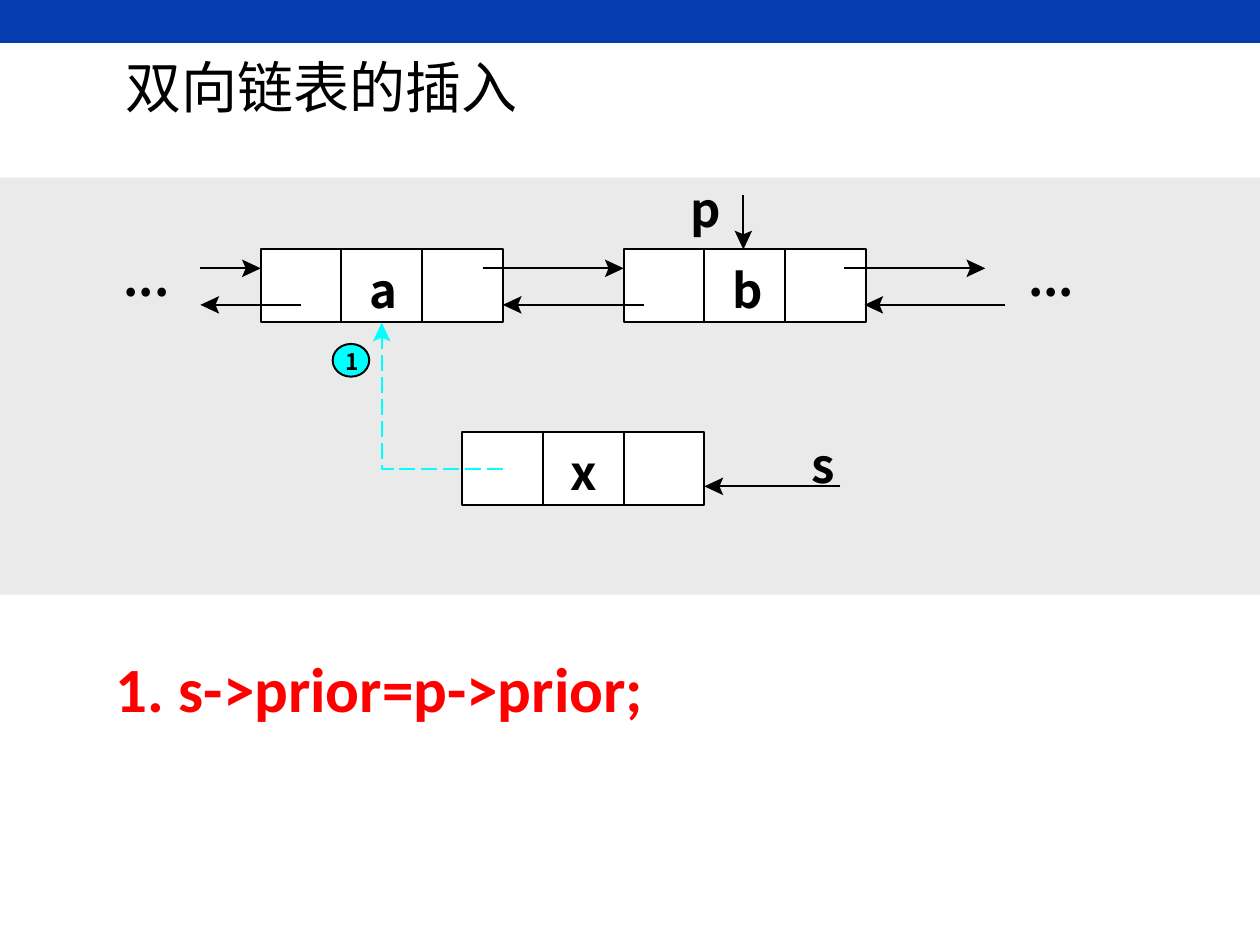
from math import atan2, cos, sin

from lxml import etree
from pptx import Presentation
from pptx.dml.color import RGBColor
from pptx.enum.dml import MSO_LINE
from pptx.enum.shapes import MSO_CONNECTOR, MSO_SHAPE
from pptx.enum.text import MSO_ANCHOR, MSO_AUTO_SIZE
from pptx.oxml.ns import qn
from pptx.util import Inches, Pt

CJK_FONT = "Noto Sans CJK SC"
BLACK, WHITE, CYAN = "000000", "FFFFFF", "00FFFF"
LINE_WIDTH = Pt(1.13)
CELL_W, CELL_H = 0.64, 0.58
LIST_TOP, NEW_TOP = 1.98, 3.43
NEXT_Y, PRIOR_Y = 2.13, 2.42
HEAD_LENGTH, HEAD_HALF, HEAD_NOTCH = 0.15, 0.07, 0.12


def color(hex_string):
    return RGBColor.from_string(hex_string)


def style(shape, fill=None, line=None):
    shape.shadow.inherit = False
    if fill:
        shape.fill.solid()
        shape.fill.fore_color.rgb = color(fill)
    else:
        shape.fill.background()
    if line:
        shape.line.color.rgb = color(line)
        shape.line.width = LINE_WIDTH
    else:
        shape.line.fill.background()


def add_block(slide, left, top, width, height, fill, line=None,
              preset=MSO_SHAPE.RECTANGLE):
    block = slide.shapes.add_shape(
        preset, Inches(left), Inches(top), Inches(width), Inches(height))
    style(block, fill, line)


def add_text(slide, text, left, top, width, height, size=27, font=CJK_FONT,
             fill=BLACK, bold=True, margins=(0, 0), wrap=False,
             anchor=MSO_ANCHOR.TOP):
    box = slide.shapes.add_textbox(
        Inches(left), Inches(top), Inches(width), Inches(height))
    frame = box.text_frame
    frame.word_wrap = wrap
    frame.auto_size = MSO_AUTO_SIZE.NONE if wrap else MSO_AUTO_SIZE.SHAPE_TO_FIT_TEXT
    frame.vertical_anchor = anchor
    frame.margin_left = frame.margin_right = Inches(margins[0])
    frame.margin_top = frame.margin_bottom = Inches(margins[1])
    run = frame.paragraphs[0].add_run()
    run.text = text
    run.font.size = Pt(size)
    run.font.bold = bold
    run.font.color.rgb = color(fill)
    run.font.name = font
    # East Asian glyphs take their own typeface
    etree.SubElement(run.font._element, qn("a:ea")).set("typeface", font)


def add_path(slide, points, fill=None, line=None, close=False):
    start, *rest = [(Inches(x), Inches(y)) for x, y in points]
    builder = slide.shapes.build_freeform(*start)
    builder.add_line_segments(rest, close=close)
    path = builder.convert_to_shape()
    style(path, fill, line)
    return path


def add_head(slide, start, tip, fill):
    """Notched arrowhead at tip, pointing away from start."""
    angle = atan2(tip[1] - start[1], tip[0] - start[0])

    def place(back, side):
        return (tip[0] - back * cos(angle) - side * sin(angle),
                tip[1] - back * sin(angle) + side * cos(angle))

    corners = [(0, 0), (HEAD_LENGTH, HEAD_HALF), (HEAD_NOTCH, 0),
               (HEAD_LENGTH, -HEAD_HALF)]
    add_path(slide, [place(*corner) for corner in corners], fill, close=True)


def add_arrow(slide, start, tip):
    shaft = slide.shapes.add_connector(
        MSO_CONNECTOR.STRAIGHT, *[Inches(v) for v in (*start, *tip)])
    # The shaft stops inside the head
    reach = HEAD_NOTCH - 0.01
    angle = atan2(tip[1] - start[1], tip[0] - start[0])
    shaft.end_x = Inches(tip[0] - reach * cos(angle))
    shaft.end_y = Inches(tip[1] - reach * sin(angle))
    shaft.line.color.rgb = color(BLACK)
    shaft.line.width = LINE_WIDTH
    etree.SubElement(shaft._element.spPr, qn("a:effectLst"))
    add_head(slide, start, tip, BLACK)


def add_node(slide, label, left, top):
    """Prior, data and next cells, with the label in the data cell."""
    for column in range(3):
        add_block(slide, left + column * CELL_W, top, CELL_W, CELL_H, WHITE, BLACK)
    add_text(slide, label, left + 0.86, top + 0.09, 0.19, 0.45)


def main():
    prs = Presentation()
    prs.slide_width, prs.slide_height = Inches(10), Inches(7.5)
    slide = prs.slides.add_slide(prs.slide_layouts[6])

    # Header and diagram background
    add_block(slide, 0, 0, 10, 0.34, "053CAF")
    add_text(slide, "双向链表的插入", 0.9, 0.4, 3.93, 0.56, size=32, bold=False,
             margins=(0.1, 0.05), wrap=True, anchor=MSO_ANCHOR.MIDDLE)
    add_block(slide, 0, 1.41, 10, 3.31, "EAEAEA")

    # Nodes
    for label, left, top in [("a", 2.07, LIST_TOP), ("b", 4.95, LIST_TOP),
                             ("x", 3.67, NEW_TOP)]:
        add_node(slide, label, left, top)

    # Next and prior links
    for start, tip in [(1.59, 2.07), (3.83, 4.95), (6.7, 7.82)]:
        add_arrow(slide, (start, NEXT_Y), (tip, NEXT_Y))
    for start, tip in [(2.39, 1.59), (5.11, 3.99), (7.98, 6.86)]:
        add_arrow(slide, (start, PRIOR_Y), (tip, PRIOR_Y))
    for left in (0.98, 8.16):
        add_text(slide, "...", left, LIST_TOP, 0.57, 0.45)

    # Step 1: the new prior link
    link = add_path(slide, [(3.99, 3.72), (3.03, 3.72), (3.03, 2.66)], line=CYAN)
    link.line.dash_style = MSO_LINE.LONG_DASH
    add_head(slide, (3.03, 3.72), (3.03, 2.56), CYAN)
    add_block(slide, 2.64, 2.73, 0.29, 0.26, CYAN, BLACK, MSO_SHAPE.OVAL)
    add_text(slide, "1", 2.74, 2.76, 0.09, 0.22, size=13)

    # Pointers p and s
    add_arrow(slide, (5.9, 1.55), (5.9, 1.98))
    add_text(slide, "p", 5.48, 1.43, 0.19, 0.45)
    add_arrow(slide, (6.67, 3.86), (5.59, 3.86))
    add_text(slide, "s", 6.44, 3.46, 0.19, 0.45)

    # Statement
    add_text(slide, "1. s->prior=p->prior;", 0.82, 5.11, 4.75, 0.7, size=36,
             font="Calibri", fill="FF0000", margins=(0.1, 0.05))

    prs.save("out.pptx")


if __name__ == "__main__":
    main()
